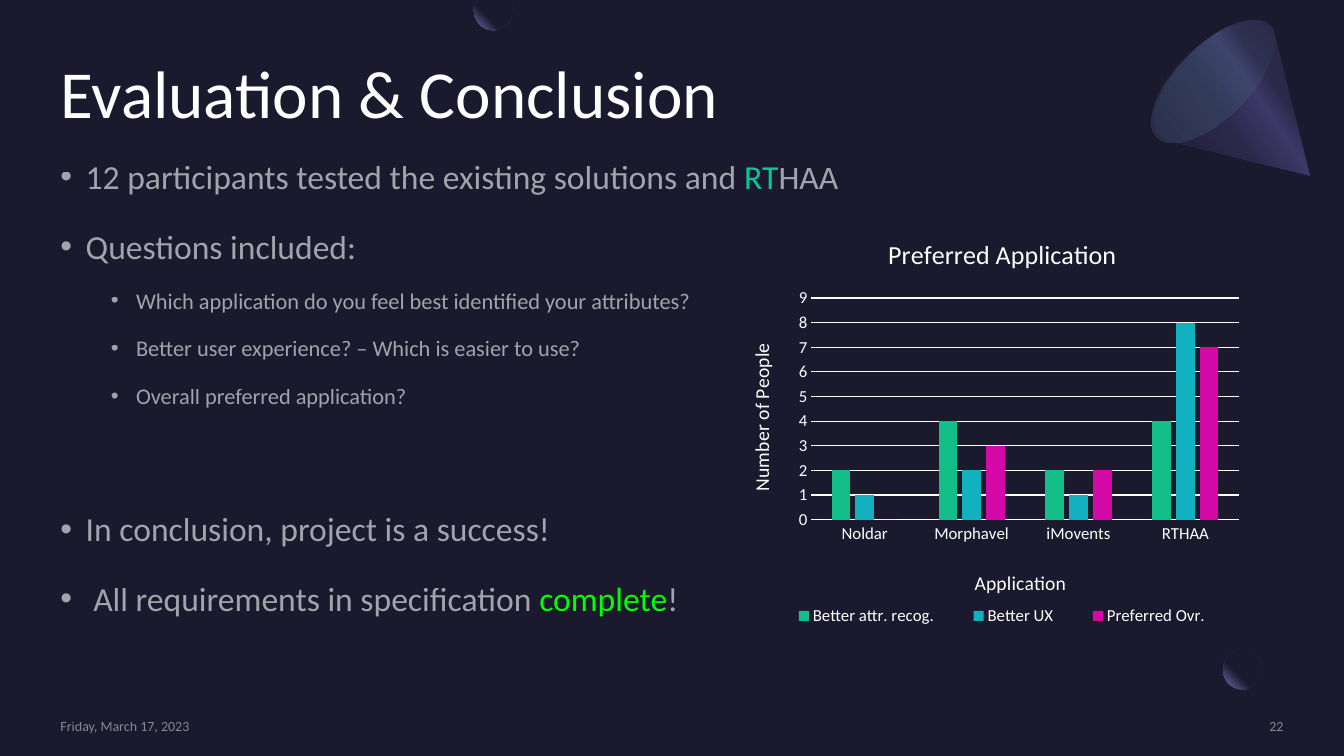
from lxml import etree
from pptx import Presentation
from pptx.chart.data import CategoryChartData
from pptx.enum.chart import XL_CHART_TYPE as ChartType, XL_LEGEND_POSITION as LegendSpot, XL_TICK_MARK as Tick
from pptx.enum.shapes import MSO_SHAPE as Preset
from pptx.enum.text import MSO_ANCHOR as Anchor, PP_ALIGN as Align
from pptx.oxml import parse_xml
from pptx.oxml.ns import nsdecls, qn
from pptx.util import Inches, Pt

FONT = "Calibri"
NIGHT, WHITE, LILAC = "1B192E", "FFFFFF", "7771B2"
GLOW = '<a:path path="circle"><a:fillToRect l="100000" b="100000"/></a:path>'
MARGIN = 0.6
FINE = 1000  # outline units per inch


def paint(fill, *stops, direction=""):
    """Fill with one hex colour, or a gradient; a stop is (hex, opacity %, position %)."""
    fill.solid()
    parts = []
    for stop in stops:
        colour, opacity, place = (stop, 100, 0) if isinstance(stop, str) else stop
        mark = f'<a:srgbClr val="{colour}"><a:alpha val="{opacity * 1000}"/></a:srgbClr>'
        parts.append(f'<a:gs pos="{place * 1000}">{mark}</a:gs>' if direction else mark)
    body = "".join(parts)
    if direction:
        xml = f'<a:gradFill {nsdecls("a")} rotWithShape="1"><a:gsLst>{body}</a:gsLst>{direction}</a:gradFill>'
    else:
        xml = f'<a:solidFill {nsdecls("a")}>{body}</a:solidFill>'
    holder = fill._xPr
    holder.replace(holder.find(qn("a:solidFill")), parse_xml(xml))


def add_text(place, paragraphs, anchor=Anchor.TOP):
    """Each paragraph is (format values, bullet indent or None, [(text, size, colour)])."""
    frame = page.shapes.add_textbox(*map(Inches, place)).text_frame
    settings = dict(word_wrap=True, vertical_anchor=anchor, margin_left=0,
                    margin_top=0, margin_right=0, margin_bottom=0)
    for name, value in settings.items():
        setattr(frame, name, value)
    for index, (values, indent, spans) in enumerate(paragraphs):
        para = frame.add_paragraph() if index else frame.paragraphs[0]
        for name, value in values.items():
            setattr(para, name, value)
        if indent:
            props = para._p.get_or_add_pPr()
            props.set("marL", str(Inches(indent)))
            props.set("indent", str(Inches(-0.25)))
            etree.SubElement(props, qn("a:buFont")).set("typeface", "Arial")
            etree.SubElement(props, qn("a:buChar")).set("char", "•")
        for text, size, colour in spans:
            span = para.add_run()
            span.text = text
            span.font.name, span.font.size = FONT, Pt(size)
            paint(span.font.fill, colour)


deck = Presentation()
deck.slide_width, deck.slide_height = Inches(13.33), Inches(7.5)
page = deck.slides.add_slide(deck.slide_layouts[6])
paint(page.background.fill, NIGHT)

# Decoration: small moons and a cone
moon = page.shapes.add_shape(Preset.OVAL, *map(Inches, (12.13, 6.45, 0.39, 0.39)))

cone_start = (11.57, 1.39)
cone_curves = [
    ((11.54, 1.38), (11.52, 1.37), (11.51, 1.35)),
    ((11.36, 1.21), (11.5, 0.85), (11.8, 0.55)),
    ((12.1, 0.24), (12.46, 0.11), (12.6, 0.25)),
    ((12.62, 0.27), (12.63, 0.29), (12.64, 0.32)),
]
moon_start = (4.71, 0.03)
moon_curves = [
    ((4.7, 0.05), (4.7, 0.08), (4.7, 0.1)),
    ((4.7, 0.21), (4.79, 0.3), (4.89, 0.3)),
    ((5, 0.3), (5.09, 0.21), (5.09, 0.1)),
    ((5.09, 0.08), (5.09, 0.05), (5.08, 0.03)),
]
outlines = []
for start, curves, corners in ((cone_start, cone_curves, [(12.99, 1.74)]),
                               (moon_start, moon_curves, [(5.06, 0), (4.73, 0)])):
    points, here = [start], start
    for first, second, end in curves:
        for step in range(1, 13):
            t = step / 12
            weights = ((1 - t) ** 3, 3 * t * (1 - t) ** 2, 3 * t * t * (1 - t), t ** 3)
            knots = (here, first, second, end)
            points.append(tuple(sum(w * k[axis] for w, k in zip(weights, knots)) for axis in (0, 1)))
        here = end
    points = [(x * FINE, y * FINE) for x, y in points + corners]
    builder = page.shapes.build_freeform(*points[0], scale=Inches(1) / FINE)
    builder.add_line_segments(points[1:], close=True)
    outlines.append(builder.convert_to_shape())
cone, top_moon = outlines

mouth = page.shapes.add_shape(Preset.OVAL, *map(Inches, (11.67, 0.03, 0.72, 1.55)))
mouth.rotation = 225

moonlight = [(NIGHT, 100, 60), (LILAC, 100, 100)]
paint(moon.fill, *moonlight, direction=GLOW)
paint(top_moon.fill, *moonlight, direction=GLOW)
paint(cone.fill, ("2C284A", 100, 30), ("3C3867", 100, 40), ("2C284A", 100, 60), (NIGHT, 100, 100),
      direction=f'<a:lin ang="{145 * 60000}" scaled="0"/>')
paint(mouth.fill, ("454075", 33, 0), ("5BEFC1", 0, 100),
      direction=f'<a:lin ang="{90 * 60000}" scaled="0"/>')
for shape in (moon, cone, top_moon, mouth):
    shape.shadow.inherit = False
    shape.line.fill.background()

# Text
soft, faint = (WHITE, 60, 0), ("A6A6A6", 80, 0)
opening = dict(line_spacing=1.1, space_after=Pt(8))
point = opening | dict(space_before=Pt(10))
question = opening | dict(level=1, space_before=Pt(5))
conclusion = opening | dict(space_before=Pt(60))
questions = ["Which application do you feel best identified your attributes?",
             "Better user experience? – Which is easier to use?",
             "Overall preferred application?"]

add_text((MARGIN, 0.6, 12.14, 0.9), [(dict(line_spacing=0.9), None, [("Evaluation & Conclusion", 48, WHITE)])])
add_text((MARGIN, 1.51, 12.23, 5.32), [
    (opening, 0.25, [("12 participants tested the existing solutions and ", 24, soft),
                     ("RT", 24, "00CC99"), ("HAA", 24, soft)]),
    (point, 0.25, [("Questions included:", 24, soft)]),
    *[(question, 0.75, [(text, 16, soft)]) for text in questions],
    (conclusion, 0.25, [("In conclusion, project is a success!", 24, soft)]),
    (point, 0.25, [(" All requirements in specification ", 24, soft),
                   ("complete", 24, "00FF00"), ("!", 24, soft)]),
])
add_text((MARGIN, 7.12, 2.88, 0.17), [({}, None, [("Friday, March 17, 2023", 10, faint)])], Anchor.MIDDLE)
add_text((10.88, 7.12, 1.85, 0.17), [(dict(alignment=Align.RIGHT), None, [("22", 10, faint)])], Anchor.MIDDLE)

# Chart
series_values = {
    "Better attr. recog.": ("13BE89", (2, 4, 2, 4)),
    "Better UX": ("12B1BF", (1, 2, 1, 8)),
    "Preferred Ovr.": ("D40AA8", (0, 3, 2, 7)),
}
data = CategoryChartData()
data.categories = ["Noldar", "Morphavel", "iMovents", "RTHAA"]
for name, (_, values) in series_values.items():
    data.add_series(name, values)
chart = page.shapes.add_chart(ChartType.COLUMN_CLUSTERED, *map(Inches, (7.28, 2.21, 5.11, 4.15)), data).chart

plot = chart.plots[0]
plot.gap_width, plot.overlap, plot.vary_by_categories = 219, -27, False
for series, (colour, _) in zip(plot.series, series_values.values()):
    paint(series.format.fill, colour)

across, upward = chart.category_axis, chart.value_axis
upward.minimum_scale, upward.maximum_scale, upward.major_unit = 0, 9, 1
upward.has_major_gridlines = True
upward.format.line.fill.background()
for line in (across.format.line, upward.major_gridlines.format.line):
    paint(line.fill, WHITE)
    line.width = Pt(0.75)
for axis in (across, upward):
    axis.major_tick_mark = axis.minor_tick_mark = Tick.NONE

chart.has_legend = True
chart.legend.position, chart.legend.include_in_layout = LegendSpot.BOTTOM, False
for font, size in ((chart.font, 10), (across.tick_labels.font, 12),
                   (upward.tick_labels.font, 12), (chart.legend.font, 12)):
    font.name, font.size = FONT, Pt(size)
    paint(font.fill, WHITE)

# Places inside the chart, as shares of its size
edges = dict(xMode="edge", yMode="edge")
layouts = [
    (chart._chartSpace.chart.plotArea, 0, dict(layoutTarget="inner") | edges | dict(x=0.15, y=0.18, w=0.83, h=0.53)),
    (chart.legend._element, 1, edges | dict(x=0.06, y=0.9, w=0.92, h=0.08)),
]
for owner, text, size, x, y in ((chart, "Preferred Application", 18.6, 0.29, 0.02),
                                (across, "Application", 14, 0.46, 0.82),
                                (upward, "Number of People", 14, 0.02, 0.28)):
    title = owner.chart_title if owner is chart else owner.axis_title
    para = title.text_frame.paragraphs[0]
    span = para.add_run()
    span.text = text
    span.font.name, span.font.size, span.font.bold = FONT, Pt(size), False
    paint(span.font.fill, WHITE)
    layouts.append((title._element, 1, edges | dict(x=x, y=y)))
for holder, position, values in layouts:
    for old in holder.findall(qn("c:layout")):
        holder.remove(old)
    layout = parse_xml(f'<c:layout {nsdecls("c")}><c:manualLayout/></c:layout>')
    for name, value in values.items():
        etree.SubElement(layout[0], qn(f"c:{name}")).set("val", str(value))
    holder.insert(position, layout)

deck.save("out.pptx")
